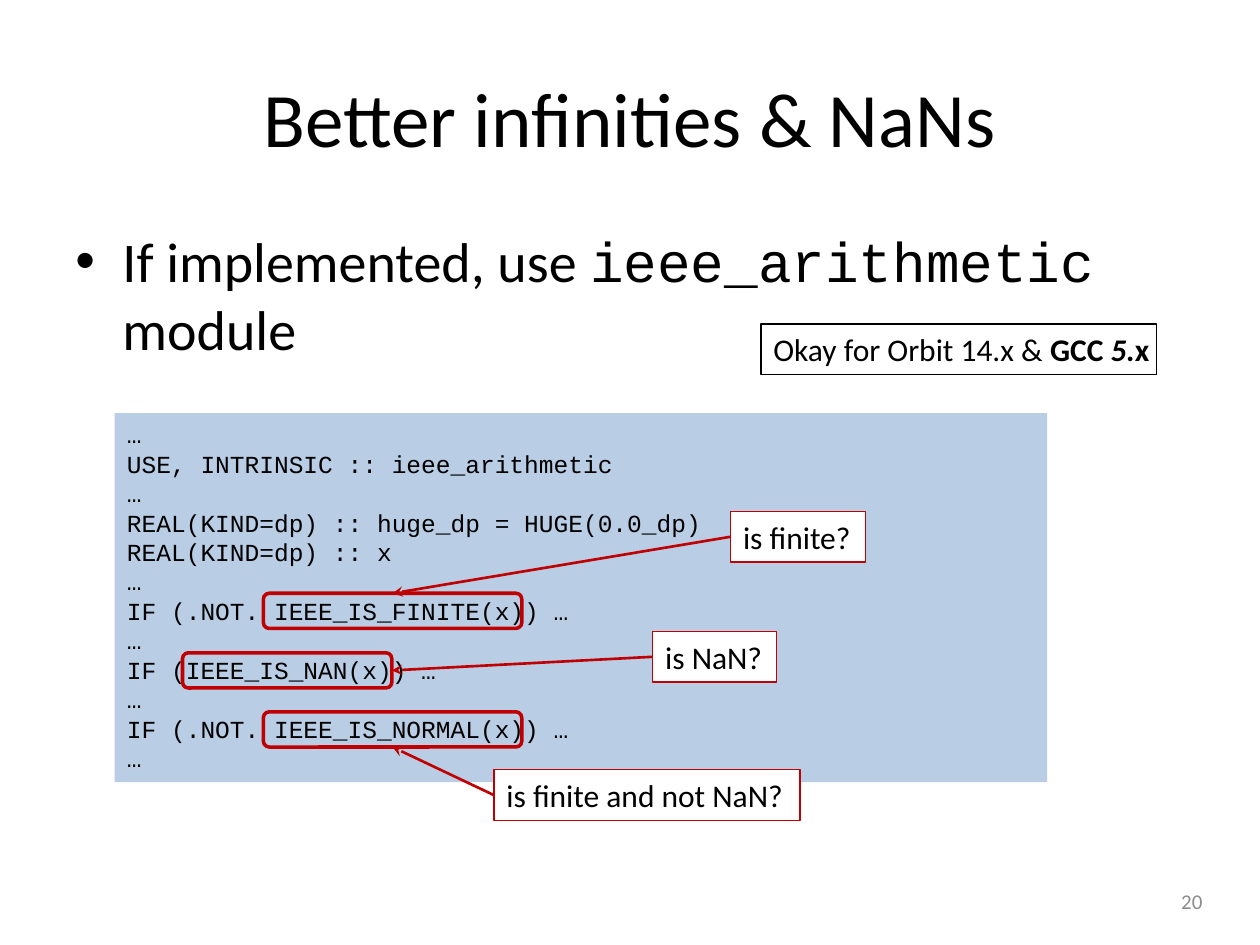
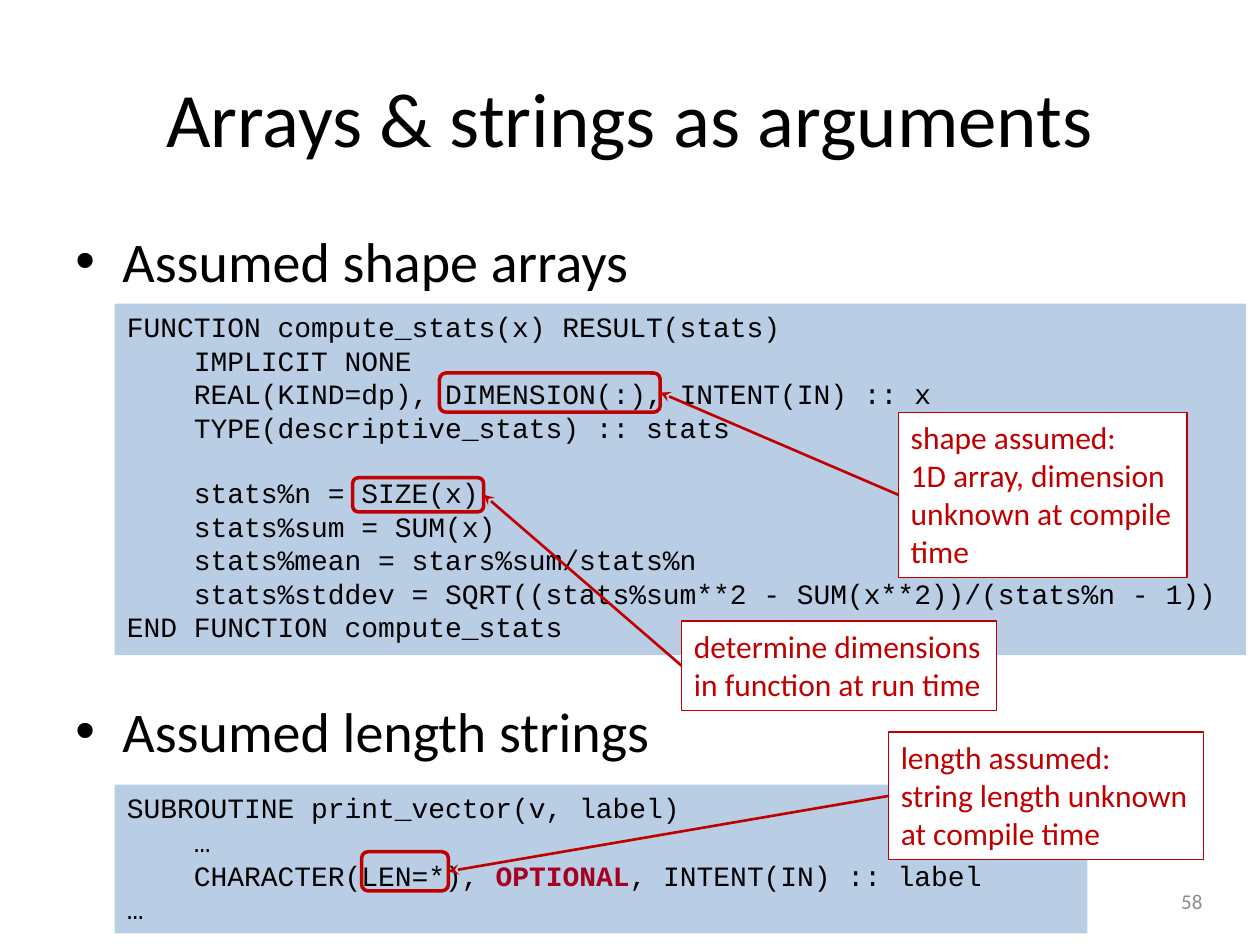
from lxml import etree
from pptx import Presentation
from pptx import util as u
from pptx.dml import color
from pptx.enum import shapes, text
from pptx.oxml import ns

BLACK, RED, KEYWORD, GREY = "000000", "C00000", "A50021", "8C8C8C"
WHITE, CODE_FILL = "FFFFFF", "B9CDE5"
SANS, MONO = "Calibri", "Courier New"
TOP, LEFT, BOTTOM, RIGHT = range(4)

TITLE_AREA = (1.27, 0.76, 22.86, 3.18)
BODY_AREA = (1.27, 4.45, 22.86, 12.57)
NUMBER_AREA = (18.57, 17.65, 5.92, 1.02)

SLIDES = [
    {
        "title": "Better infinities & NaNs",
        "number": "20",
        "bullets": [["If implemented, use ", ("ieee_arithmetic", {"font": MONO}), " module"]],
        "bullet_gap": 0,
        "code_size": 14,
        "code": [
            {
                "area": (2.31, 8.33, 18.8, 7.44),
                "blocks": [[
                    "…",
                    "USE, INTRINSIC :: ieee_arithmetic",
                    "…",
                    "REAL(KIND=dp) :: huge_dp = HUGE(0.0_dp)",
                    "REAL(KIND=dp) :: x",
                    "…",
                    "IF (.NOT. IEEE_IS_FINITE(x)) …",
                    "…",
                    "IF (IEEE_IS_NAN(x)) …",
                    "…",
                    "IF (.NOT. IEEE_IS_NORMAL(x)) …",
                    "…",
                ]],
            },
        ],
        "note_color": BLACK,
        "notes": [
            (["is finite?"], (14.73, 10.31, 2.72, 1.02), (5.31, 11.96, 5.21, 0.71), TOP),
            (["is NaN?"], (13.16, 12.73, 2.49, 1.02), (3.68, 13.16, 4.22, 0.71), RIGHT),
            (["is finite and not NaN?"], (9.96, 15.52, 6.17, 1.02), (5.31, 14.35, 5.21, 0.71), BOTTOM),
        ],
        "support": {
            "area": (15.34, 6.53, 7.98, 1.02),
            "spans": [
                "Okay for Orbit 14.x & ",
                ("GCC ", {"bold": True}),
                ("5.", {"bold": True, "italic": True}),
                ("x", {"bold": True}),
            ],
        },
    },
    {
        "title": "Arrays & strings as arguments",
        "number": "58",
        "bullets": [["Assumed shape arrays"], ["Assumed length strings"]],
        "bullet_gap": 230,
        "code_size": 16,
        "code": [
            {
                "area": (2.31, 6.12, 22.81, 7.09),
                "blocks": [
                    [
                        "FUNCTION compute_stats(x) RESULT(stats)",
                        "    IMPLICIT NONE",
                        "    REAL(KIND=dp), DIMENSION(:), INTENT(IN) :: x",
                        "    TYPE(descriptive_stats) :: stats",
                    ],
                    [
                        "    stats%n = SIZE(x)",
                        "    stats%sum = SUM(x)",
                        "    stats%mean = stars%sum/stats%n",
                        "    stats%stddev = SQRT((stats%sum**2 - SUM(x**2))/(stats%n - 1))",
                        "END FUNCTION compute_stats",
                    ],
                ],
            },
            {
                "area": (2.31, 15.82, 19.61, 3),
                "blocks": [[
                    "SUBROUTINE print_vector(v, label)",
                    "    …",
                    [
                        "    CHARACTER(LEN=*), ",
                        ("OPTIONAL", {"ink": KEYWORD, "bold": True}),
                        ", INTENT(IN) :: label",
                    ],
                    "…",
                ]],
            },
        ],
        "note_color": RED,
        "notes": [
            (["shape assumed:", "1D array, dimension", "unknown at compile", "time"],
             (18.11, 8.31, 5.82, 3.33), (8.86, 7.52, 4.45, 0.79), RIGHT),
            (["determine dimensions", "in function at run time"],
             (13.74, 12.52, 6.35, 1.8), (7.11, 9.63, 2.64, 0.69), RIGHT),
            (["length assumed:", "string length unknown", "at compile time"],
             (17.91, 14.76, 6.35, 2.57), (7.29, 17.17, 1.75, 0.79), RIGHT),
        ],
    },
]


def rgb(value):
    return color.RGBColor.from_string(value)


def lengths(area):
    return [u.Cm(value) for value in area]


def add_span(para, words, size, font=SANS, ink=BLACK, bold=False, italic=False):
    span = para.add_run()
    span.text = words
    span.font.name = font
    span.font.size = u.Pt(size)
    span.font.color.rgb = rgb(ink)
    span.font.bold = bold
    span.font.italic = italic


def add_spans(para, spans, size, **base):
    for item in spans:
        words, style = (item, {}) if isinstance(item, str) else item
        add_span(para, words, size, **{**base, **style})


def next_para(frame, index):
    para = frame.add_paragraph() if index else frame.paragraphs[0]
    para.alignment = text.PP_ALIGN.LEFT
    return para


def add_box(page, area, kind=shapes.MSO_SHAPE.RECTANGLE, fill=None, line=None, width=0.75):
    box = page.shapes.add_shape(kind, *lengths(area))
    box.shadow.inherit = False
    if fill:
        box.fill.solid()
        box.fill.fore_color.rgb = rgb(fill)
    else:
        box.fill.background()
    if line:
        box.line.color.rgb = rgb(line)
        box.line.width = u.Pt(width)
    else:
        box.line.fill.background()
    box.text_frame.vertical_anchor = text.MSO_ANCHOR.TOP
    return box


def add_title(page, words):
    title = page.shapes.title
    title.left, title.top, title.width, title.height = lengths(TITLE_AREA)
    title.text_frame.vertical_anchor = text.MSO_ANCHOR.MIDDLE
    para = title.text_frame.paragraphs[0]
    para.alignment = text.PP_ALIGN.CENTER
    add_span(para, words, 44)


def add_bullets(page, bullets, gap):
    frame = page.shapes.add_textbox(*lengths(BODY_AREA)).text_frame
    frame.word_wrap = True
    for index, spans in enumerate(bullets):
        para = next_para(frame, index)
        properties = para._p.get_or_add_pPr()
        indent = u.Cm(0.95)
        properties.set("marL", str(indent))
        properties.set("indent", str(-indent))
        if index:
            para.space_before = u.Pt(gap)
        etree.SubElement(properties, ns.qn("a:buFont"), typeface="Arial")
        etree.SubElement(properties, ns.qn("a:buChar"), char="•")
        add_spans(para, spans, 32)


def add_number(page, words):
    frame = page.shapes.add_textbox(*lengths(NUMBER_AREA)).text_frame
    frame.word_wrap = True
    frame.vertical_anchor = text.MSO_ANCHOR.MIDDLE
    para = frame.paragraphs[0]
    para.alignment = text.PP_ALIGN.RIGHT
    add_span(para, words, 12, ink=GREY)


def add_code(page, area, blocks, size):
    frame = add_box(page, area, fill=CODE_FILL).text_frame
    frame.word_wrap = True
    lines = [(line, block and not row)
             for block, rows in enumerate(blocks) for row, line in enumerate(rows)]
    for index, (line, starts_block) in enumerate(lines):
        para = next_para(frame, index)
        if starts_block:
            para.space_before = u.Pt(size * 1.13)
        spans = [line] if isinstance(line, str) else line
        add_spans(para, spans, size, font=MONO)


def add_arrow(page, note, target, side):
    arrow = page.shapes.add_connector(shapes.MSO_CONNECTOR.STRAIGHT, 0, 0, 0, 0)
    arrow.begin_connect(note, LEFT)
    arrow.end_connect(target, side)
    arrow.line.color.rgb = rgb(RED)
    arrow.line.width = u.Pt(1.5)
    etree.SubElement(arrow.line._get_or_add_ln(), ns.qn("a:tailEnd"), type="stealth")
    etree.SubElement(arrow._element.spPr, ns.qn("a:effectLst"))


def add_note(page, lines, area, target_area, side, ink):
    target = add_box(page, target_area, shapes.MSO_SHAPE.ROUNDED_RECTANGLE, line=RED, width=2)
    note = add_box(page, area, fill=WHITE, line=RED)
    note.text_frame.word_wrap = False
    para = next_para(note.text_frame, 0)
    for index, line in enumerate(lines):
        if index:
            para.add_line_break()
        add_span(para, line, 18, ink=ink)
    add_arrow(page, note, target, side)


def add_support(page, area, spans):
    frame = add_box(page, area, line=BLACK).text_frame
    frame.word_wrap = False
    add_spans(next_para(frame, 0), spans, 18)


def main():
    deck = Presentation()
    deck.slide_width, deck.slide_height = u.Cm(25.4), u.Cm(19.05)
    for content in SLIDES:
        page = deck.slides.add_slide(deck.slide_layouts.get_by_name("Title Only"))
        add_title(page, content["title"])
        add_bullets(page, content["bullets"], content["bullet_gap"])
        add_number(page, content["number"])
        for code in content["code"]:
            add_code(page, code["area"], code["blocks"], content["code_size"])
        for note in content["notes"]:
            add_note(page, *note, content["note_color"])
        if "support" in content:
            add_support(page, **content["support"])
    deck.save("out.pptx")


if __name__ == "__main__":
    main()
